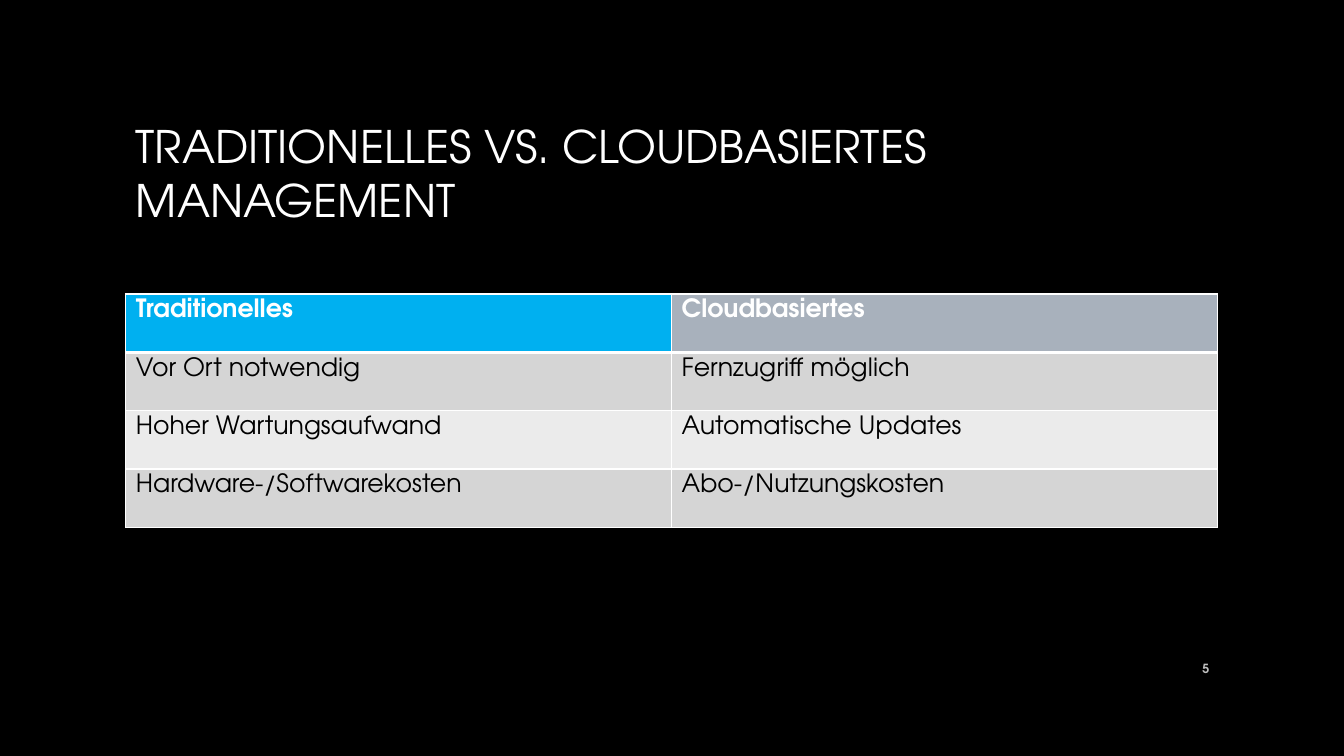
from dataclasses import dataclass

from lxml.etree import SubElement
from pptx import Presentation
from pptx.dml.color import RGBColor
from pptx.enum.text import MSO_ANCHOR, PP_ALIGN
from pptx.oxml.ns import qn
from pptx.util import Cm, Pt


@dataclass(frozen=True)
class Theme:
    font: str = "TeX Gyre Adventor"
    background: str = "000000"
    light: str = "FFFFFF"
    dark: str = "000000"
    page_number: str = "BFBFBF"
    headers: tuple = ("00B0F0", "A8B1BC")
    bands: tuple = ("D5D5D5", "EBEBEB")
    title_size: int = 32
    table_size: int = 18
    number_size: int = 9


THEME = Theme()

COMPARISON = [
    ("Traditionelles", "Cloudbasiertes"),
    ("Vor Ort notwendig", "Fernzugriff möglich"),
    ("Hoher Wartungsaufwand", "Automatische Updates"),
    ("Hardware-/Softwarekosten", "Abo-/Nutzungskosten"),
]


def apply_format(target, values):
    for attribute, value in values.items():
        setattr(target, attribute, value)


def write_text(frame, text, size, color, bold=False, **paragraph_format):
    paragraph = frame.paragraphs[0]
    apply_format(paragraph, paragraph_format)
    run = paragraph.add_run()
    run.text = text
    apply_format(run.font, {"name": THEME.font, "size": Pt(size), "bold": bold})
    run.font.color.rgb = RGBColor.from_string(color)


def add_title(slide, text):
    title = slide.shapes.title
    apply_format(title, {"left": Cm(3.17), "top": Cm(1.7),
                         "width": Cm(27.51), "height": Cm(5.28)})
    apply_format(title.text_frame, {"vertical_anchor": MSO_ANCHOR.MIDDLE,
                                    "word_wrap": True})
    write_text(title.text_frame, text, THEME.title_size, THEME.light,
               alignment=PP_ALIGN.LEFT, line_spacing=1.0)


def set_borders(cell, widths):
    properties = cell._tc.get_or_add_tcPr()
    # Borders come before the fill in the cell properties
    for position, (side, width) in enumerate(widths.items()):
        line = SubElement(properties, qn(f"a:{side}"), w=str(Pt(width)))
        fill = SubElement(line, qn("a:solidFill"))
        SubElement(fill, qn("a:srgbClr"), val=THEME.light)
        properties.insert(position, line)


def add_comparison(slide, rows):
    row_height = Cm(1.47)
    table = slide.shapes.add_table(
        len(rows), len(rows[0]), Cm(3.17), Cm(7.41),
        Cm(27.51), row_height * len(rows)).table
    for row_index, row in enumerate(rows):
        is_header = row_index == 0
        for column_index, text in enumerate(row):
            cell = table.cell(row_index, column_index)
            fill = (THEME.headers[column_index] if is_header
                    else THEME.bands[(row_index - 1) % 2])
            cell.fill.solid()
            cell.fill.fore_color.rgb = RGBColor.from_string(fill)
            cell.vertical_anchor = MSO_ANCHOR.TOP
            write_text(cell.text_frame, text, THEME.table_size,
                       THEME.light if is_header else THEME.dark, is_header)
            set_borders(cell, {"lnL": 1, "lnR": 1,
                               "lnT": 3 if row_index == 1 else 1,
                               "lnB": 3 if is_header else 1})


def add_page_number(slide, number):
    box = slide.shapes.add_textbox(Cm(29.21), Cm(16.33), Cm(1.52), Cm(1.02))
    apply_format(box.text_frame, {"word_wrap": True,
                                  "vertical_anchor": MSO_ANCHOR.MIDDLE})
    write_text(box.text_frame, number, THEME.number_size, THEME.page_number,
               bold=True, alignment=PP_ALIGN.RIGHT)


def main():
    presentation = Presentation()
    apply_format(presentation, {"slide_width": Cm(33.87),
                                "slide_height": Cm(19.05)})
    slide = presentation.slides.add_slide(presentation.slide_layouts[5])

    # Black background
    background = slide.background.fill
    background.solid()
    background.fore_color.rgb = RGBColor.from_string(THEME.background)

    # Heading, comparison table and page number
    add_title(slide, "TRADITIONELLES VS. CLOUDBASIERTES MANAGEMENT")
    add_comparison(slide, COMPARISON)
    add_page_number(slide, "5")

    presentation.save("out.pptx")


if __name__ == "__main__":
    main()
